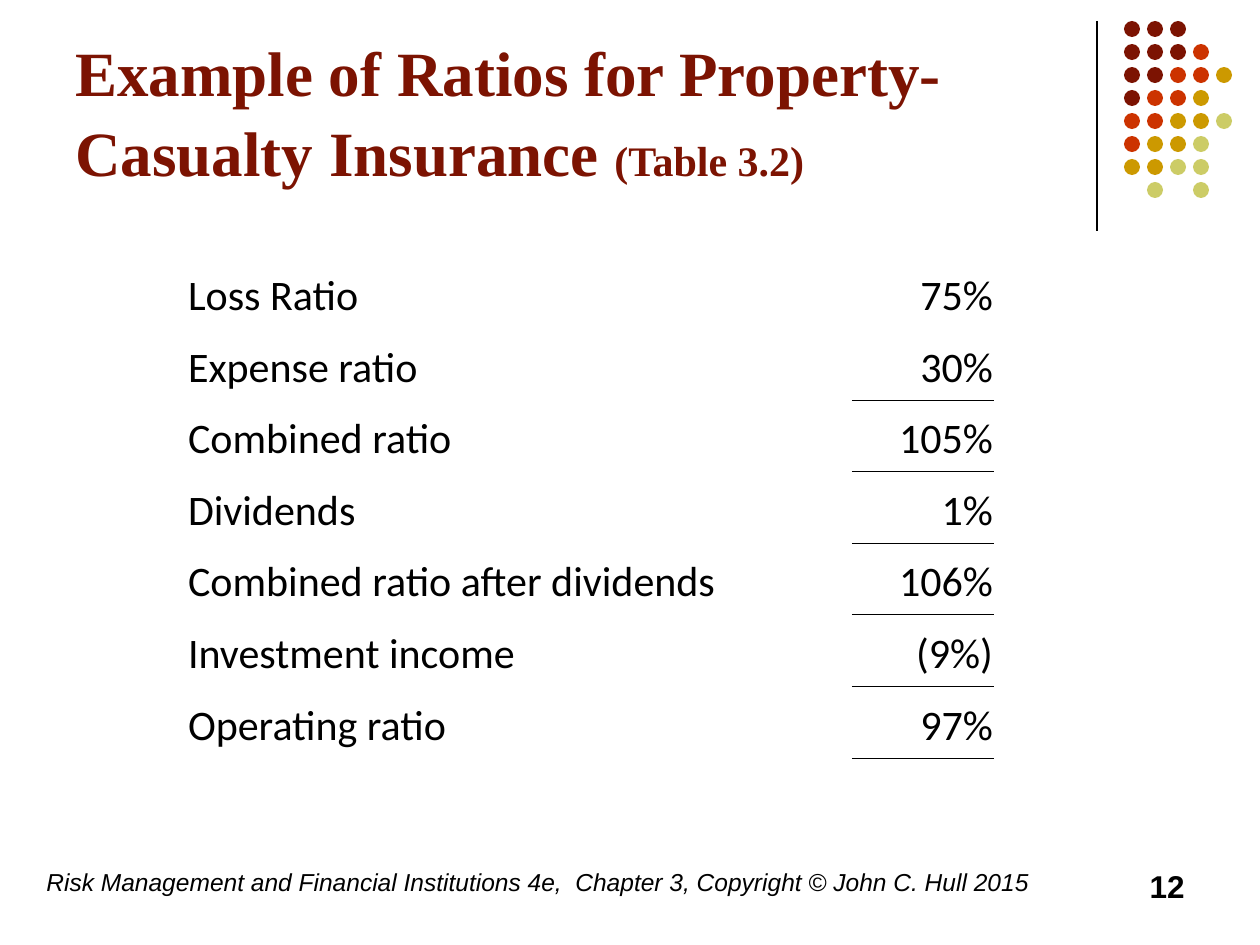
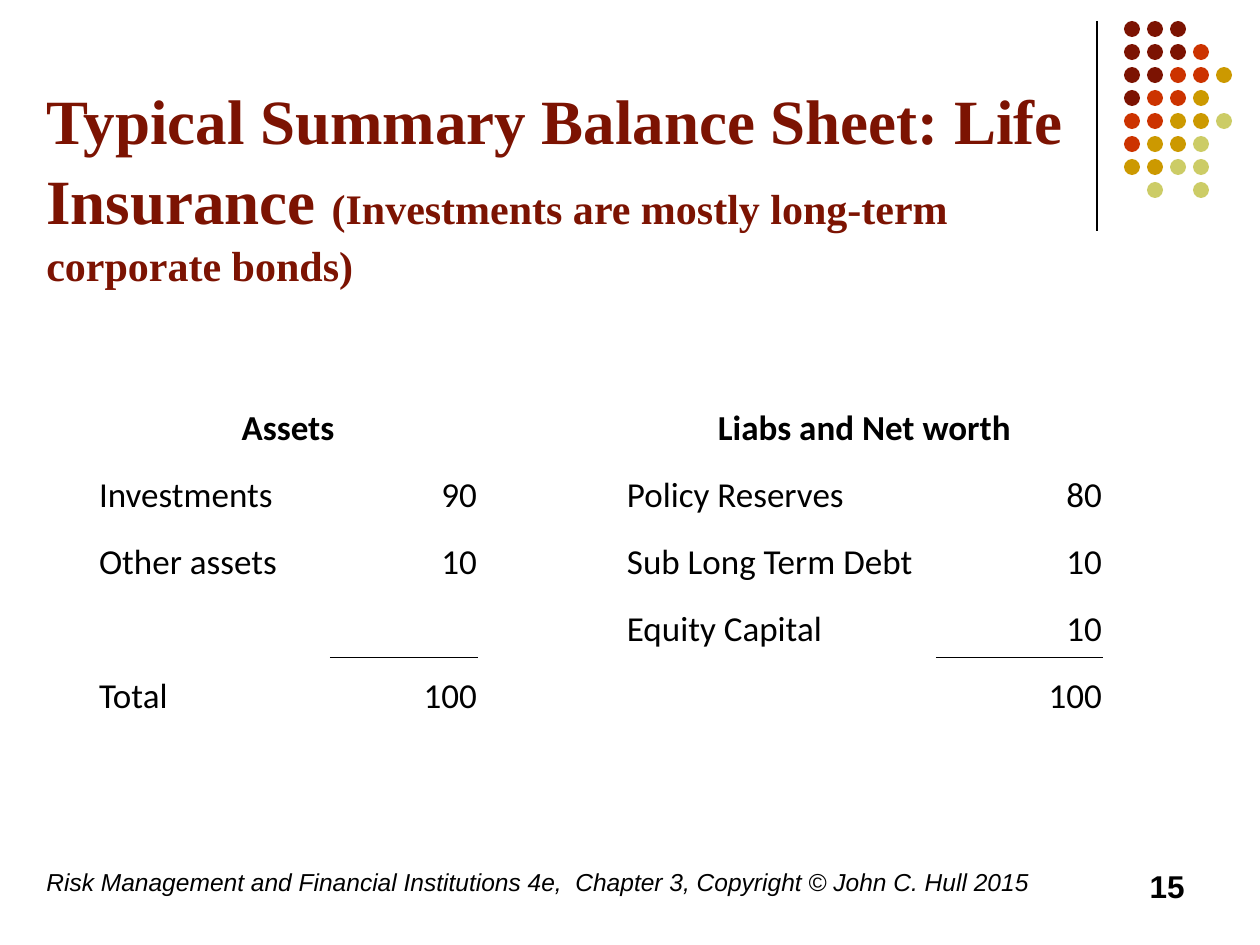
"""Build two slides on insurance ratios and a life insurer's balance sheet."""
from dataclasses import dataclass
from lxml.etree import SubElement as Sub
from pptx import Presentation
from pptx.dml.color import RGBColor as Rgb
from pptx.enum.shapes import MSO_CONNECTOR as Conn, MSO_SHAPE as Shape
from pptx.enum.text import MSO_ANCHOR as Anchor, PP_ALIGN as Align
from pptx.oxml import parse_xml
from pptx.oxml.ns import nsdecls, qn
from pptx.util import Pt

SCALE = 914400 / 126
PLAIN = "{2D5ABB26-0587-4C30-8999-92F81FD0307C}"
FOOT = "Risk Management and Financial Institutions 4e,  Chapter 3, Copyright © John C. Hull 2015"
DOTS = ["RRR", "RRRO", "RROOG", "ROOG", "OOGGL", "OGGL", "GGLL", " L L"]


@dataclass(frozen=True)
class Theme:
    ink: str = "000000"
    red: str = "7C1302"
    rust: str = "CC3300"
    gold: str = "CC9900"
    lime: str = "CCCC66"
    serif: str = "Times New Roman"
    sans: str = "Arial"
    body: str = "Calibri"
    head: int = 36
    sub: int = 24
    page: int = 18
    foot: int = 14


def px(*vals):
    return [round(v * SCALE) for v in vals]


class Deck:
    def __init__(self, theme):
        self.theme = theme
        self.prs = Presentation()
        self.prs.slide_width, self.prs.slide_height = px(1260, 945)
        self.slide = None

    def start(self, num, box, title, note):
        self.slide = self.prs.slides.add_slide(self.prs.slide_layouts[6])
        t = self.theme
        self.rule(1097, 21, 1097, 231)
        self.dots(1124, 21, 23, 16)
        self.title(box, title, note)
        foot = self.text((34, 861, 1042, 63), FOOT)
        self.style(foot.runs[0], t.sans, t.foot, italic=True)
        page = self.text((903, 861, 294, 63), str(num))
        page.alignment = Align.RIGHT
        self.style(page.runs[0], t.sans, t.page, bold=True)

    def style(self, run, face, size, color=None, bold=False, italic=False):
        font = run.font
        font.name, font.size = face, Pt(size)
        font.bold, font.italic = bold, italic
        font.color.rgb = Rgb.from_string(color or self.theme.ink)

    def text(self, box, words, anchor=Anchor.TOP):
        frame = self.slide.shapes.add_textbox(*px(*box)).text_frame
        frame.word_wrap = True
        frame.vertical_anchor = anchor
        frame.text = words
        return frame.paragraphs[0]

    def title(self, box, words, note):
        t = self.theme
        para = self.text(box, words, Anchor.BOTTOM)
        para.line_spacing = 1.05
        para.add_run().text = note
        for run, size in zip(para.runs, (t.head, t.sub)):
            self.style(run, t.serif, size, t.red, bold=True)

    def rule(self, *ends):
        line = self.slide.shapes.add_connector(Conn.STRAIGHT, *px(*ends))
        line.line.color.rgb = Rgb.from_string(self.theme.ink)
        line.line.width = Pt(0.75)
        Sub(line._element.spPr, qn("a:effectLst"))

    def dots(self, left, top, step, size):
        t = self.theme
        tints = {"R": t.red, "O": t.rust, "G": t.gold, "L": t.lime}
        group = self.slide.shapes.add_group_shape()
        for row, marks in enumerate(DOTS):
            for col, mark in enumerate(marks):
                if mark == " ":
                    continue
                spot = px(left + col * step, top + row * step, size, size)
                dot = group.shapes.add_shape(Shape.OVAL, *spot)
                dot.shadow.inherit = False
                dot.fill.solid()
                dot.fill.fore_color.rgb = Rgb.from_string(tints[mark])
                dot.line.fill.background()

    def table(self, left, top, cols, tall, rows, size, nums, lines, heads=()):
        """Draw rows; nums are right-aligned columns, lines the cells ruled below."""
        box = px(left, top, sum(cols), sum(tall))
        frame = self.slide.shapes.add_table(len(rows), len(cols), *box)
        grid = frame.table
        grid.first_row = grid.horz_banding = False
        grid._tbl.tblPr.find(qn("a:tableStyleId")).text = PLAIN
        for col, wide in zip(grid.columns, px(*cols)):
            col.width = wide
        for row, high in zip(grid.rows, px(*tall)):
            row.height = high
        for r, row in enumerate(rows):
            for c, words in enumerate(row):
                cell = grid.cell(r, c)
                self.cell(cell, words, size, c in nums, (r, c) in heads)
                if (r, c) in lines:
                    self.edge(cell, "lnB")
                if (r - 1, c) in lines:
                    self.edge(cell, "lnT")
        for r, c in heads:
            grid.cell(r, c).merge(grid.cell(r, c + 1))

    def cell(self, cell, words, size, right, head):
        cell.fill.background()
        cell.vertical_anchor = Anchor.BOTTOM
        cell.margin_left, cell.margin_right = px(1, 1)
        if not words:
            return
        cell.text = words
        para = cell.text_frame.paragraphs[0]
        para.alignment = Align.CENTER if head else Align.RIGHT if right else Align.LEFT
        self.style(para.runs[0], self.theme.body, size, bold=head)

    def edge(self, cell, side):
        line = parse_xml(
            f'<a:{side} {nsdecls("a")} w="2921"><a:solidFill>'
            f'<a:srgbClr val="{self.theme.ink}"/></a:solidFill></a:{side}>')
        cell._tc.get_or_add_tcPr().insert(0, line)


def main():
    deck = Deck(Theme())
    deck.start(12, (63, 16, 1040, 179),
               "Example of Ratios for Property-Casualty Insurance ", "(Table 3.2)")
    ratios = [
        ("Loss Ratio", "75%"),
        ("Expense ratio", "30%"),
        ("Combined ratio", "105%"),
        ("Dividends", "1%"),
        ("Combined ratio after dividends", "106%"),
        ("Investment income", "(9%)"),
        ("Operating ratio", "97%"),
    ]
    deck.table(187, 256, (665, 142), (72, 72, 71, 72, 71, 72, 72), ratios, 24,
               nums={1}, lines={(r, 1) for r in (1, 3, 5, 6)})

    deck.start(15, (34, 128, 1071, 168),
               "Typical Summary Balance Sheet: Life Insurance ",
               "(Investments are mostly long-term corporate bonds)")
    sheet = [
        ("Assets", "", "", "Liabs and Net worth", ""),
        ("Investments", "90", "", "Policy Reserves", "80"),
        ("Other assets", "10", "", "Sub Long Term Debt", "10"),
        ("", "", "", "Equity Capital", "10"),
        ("Total", "100", "", "", "100"),
    ]
    deck.table(98, 384, (232, 148, 148, 310, 167), (72, 67, 67, 67, 67), sheet, 20,
               nums={1, 4}, lines={(3, 1), (3, 4)}, heads=((0, 0), (0, 3)))
    deck.prs.save("out.pptx")


if __name__ == "__main__":
    main()
